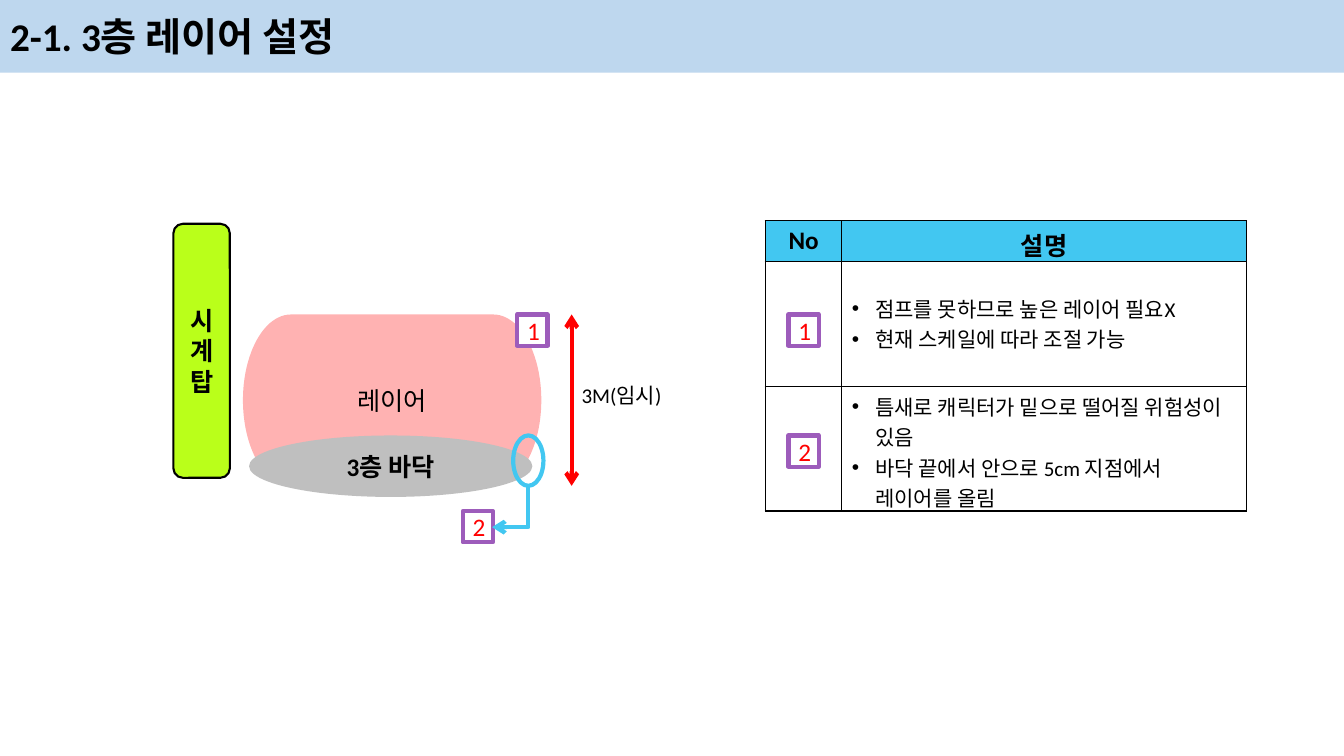
from lxml.etree import SubElement
from pptx import Presentation
from pptx.dml.color import RGBColor
from pptx.enum.shapes import MSO_CONNECTOR as Connector, MSO_SHAPE as Shape
from pptx.enum.text import MSO_ANCHOR as Anchor, MSO_AUTO_SIZE as AutoSize, PP_ALIGN as Align
from pptx.oxml.ns import qn
from pptx.util import Emu, Pt

SCALE = 9144
FONT = "Calibri"
BLACK = RGBColor(0x00, 0x00, 0x00)
WHITE = RGBColor(0xFF, 0xFF, 0xFF)
RED = RGBColor(0xFF, 0x00, 0x00)
SKY = RGBColor(0x42, 0xC7, 0xF1)
PURPLE = RGBColor(0x9D, 0x5C, 0xBB)
GRAY = RGBColor(0xBF, 0xBF, 0xBF)
LIME = RGBColor(0xBA, 0xFF, 0x1A)
PALE_BLUE = RGBColor(0xBE, 0xD7, 0xEE)

TITLE = "2-1. 3층 레이어 설정"
LAYER = (Shape.FLOWCHART_TERMINATOR, (241, 312, 296, 170), "레이어", False, RED, None)
FLOOR = (Shape.OVAL, (247, 432, 281, 61), "3층 바닥", True, GRAY, None)
TOWER = (Shape.ROUNDED_RECTANGLE, (172, 222, 56, 252), "시계탑", True, LIME, (BLACK, 1.5))
EDGE_RING = (Shape.OVAL, (509, 432, 30, 50), "", False, None, (SKY, 3))
HEIGHT_LABEL = ("3M(임시)", (567, 375, 106, 34))
HEIGHT_ARROW = (567, 312, 567, 482)
EDGE_ARROW = (486, 485, 526, 521)
MARKER_SIZE = (30, 31)
MARKERS = [("1", 782, 312), ("1", 513, 312), ("2", 459, 507), ("2", 782, 432)]
TABLE_BOX = (759, 219, 477, 288)
COLUMN_WIDTHS = (76, 401)
ROW_HEIGHTS = (40, 124, 124)
HEADERS = ("No", "설명")
DESCRIPTIONS = [
    ("점프를 못하므로 높은 레이어 필요X", "현재 스케일에 따라 조절 가능"),
    ("틈새로 캐릭터가 밑으로 떨어질 위험성이 있음",
     "바닥 끝에서 안으로 5cm 지점에서 레이어를 올림"),
]
BULLET_INDENT = 23


def px(*values):
    return [Emu(value * SCALE) for value in values]


def add_text(paragraph, text, size, color=BLACK, bold=False, align=Align.LEFT):
    paragraph.alignment = align
    run = paragraph.add_run()
    run.text = text
    run.font.name = FONT
    run.font.size = Pt(size)
    run.font.bold = bold
    run.font.color.rgb = color


def add_block(slide, kind, box, text, bold, fill, line, color=BLACK):
    shape = slide.shapes.add_shape(kind, *px(*box))
    shape.shadow.inherit = False
    if fill is None:
        shape.fill.background()
    else:
        shape.fill.solid()
        shape.fill.fore_color.rgb = fill
    if line is None:
        shape.line.fill.background()
    else:
        shape.line.color.rgb = line[0]
        shape.line.width = Pt(line[1])
    if text:
        shape.text_frame.word_wrap = True
        shape.text_frame.vertical_anchor = Anchor.MIDDLE
        add_text(shape.text_frame.paragraphs[0], text, 18, color, bold, Align.CENTER)
    return shape


def add_arrow(slide, kind, ends, color, heads):
    connector = slide.shapes.add_connector(kind, *px(*ends))
    connector.line.color.rgb = color
    connector.line.width = Pt(3)
    line = connector.line._get_or_add_ln()
    for head in heads:
        SubElement(line, qn(f"a:{head}"), type="arrow")
    SubElement(connector._element.spPr, qn("a:effectLst"))
    return connector


def add_bullet(paragraph, text):
    add_text(paragraph, text, 15)
    properties = paragraph._p.get_or_add_pPr()
    indent = BULLET_INDENT * SCALE
    properties.set("marL", str(indent))
    properties.set("indent", str(-indent))
    SubElement(properties, qn("a:buFont"), typeface="Arial")
    SubElement(properties, qn("a:buChar"), char="•")


def style_cell(cell, fill):
    cell.vertical_anchor = Anchor.MIDDLE
    properties = cell._tc.get_or_add_tcPr()
    for side in ("lnL", "lnR", "lnT", "lnB"):
        border = SubElement(properties, qn(f"a:{side}"), w=str(Pt(1)))
        solid = SubElement(border, qn("a:solidFill"))
        SubElement(solid, qn("a:srgbClr"), val=str(BLACK))
    cell.fill.solid()
    cell.fill.fore_color.rgb = fill


def add_description_table(slide):
    table = slide.shapes.add_table(len(ROW_HEIGHTS), len(COLUMN_WIDTHS), *px(*TABLE_BOX)).table
    table.first_row = table.horz_banding = False
    for column, width in zip(table.columns, px(*COLUMN_WIDTHS)):
        column.width = width
    for row, height in zip(table.rows, px(*ROW_HEIGHTS)):
        row.height = height
    for row_index, row in enumerate(table.rows):
        for cell in row.cells:
            style_cell(cell, WHITE if row_index else SKY)
    for column_index, header in enumerate(HEADERS):
        paragraph = table.cell(0, column_index).text_frame.paragraphs[0]
        add_text(paragraph, header, 18, bold=True, align=Align.CENTER)
    for row_index, lines in enumerate(DESCRIPTIONS, 1):
        frame = table.cell(row_index, 1).text_frame
        for line_index, text in enumerate(lines):
            add_bullet(frame.add_paragraph() if line_index else frame.paragraphs[0], text)


def add_title(slide):
    title = slide.shapes.title
    title.left, title.top, title.width, title.height = px(0, 0, 1333, 72)
    title.fill.solid()
    title.fill.fore_color.rgb = PALE_BLUE
    title.text_frame.auto_size = AutoSize.NONE
    title.text_frame.vertical_anchor = Anchor.MIDDLE
    add_text(title.text_frame.paragraphs[0], TITLE, 28, bold=True)


def main():
    presentation = Presentation()
    presentation.slide_width, presentation.slide_height = px(1333, 750)
    slide = presentation.slides.add_slide(presentation.slide_layouts[5])
    add_title(slide)

    layer = add_block(slide, *LAYER)
    layer_color = layer.fill._xPr.find(qn("a:solidFill"))[0]
    SubElement(layer_color, qn("a:alpha"), val="30000")
    add_block(slide, *FLOOR)
    add_block(slide, *TOWER)

    add_arrow(slide, Connector.STRAIGHT, HEIGHT_ARROW, RED, ("headEnd", "tailEnd"))
    text, box = HEIGHT_LABEL
    label = slide.shapes.add_textbox(*px(*box))
    label.text_frame.word_wrap = True
    add_text(label.text_frame.paragraphs[0], text, 15)

    add_description_table(slide)
    add_block(slide, *EDGE_RING)
    for number, left, top in MARKERS:
        add_block(slide, Shape.RECTANGLE, (left, top, *MARKER_SIZE), number, False,
                  WHITE, (PURPLE, 3), RED)

    edge_arrow = add_arrow(slide, Connector.ELBOW, EDGE_ARROW, SKY, ("tailEnd",))
    properties = edge_arrow._element.spPr
    properties.find(qn("a:xfrm")).set("rot", "5400000")
    properties.find(qn("a:prstGeom")).set("prst", "bentConnector2")

    presentation.save("out.pptx")


if __name__ == "__main__":
    main()
